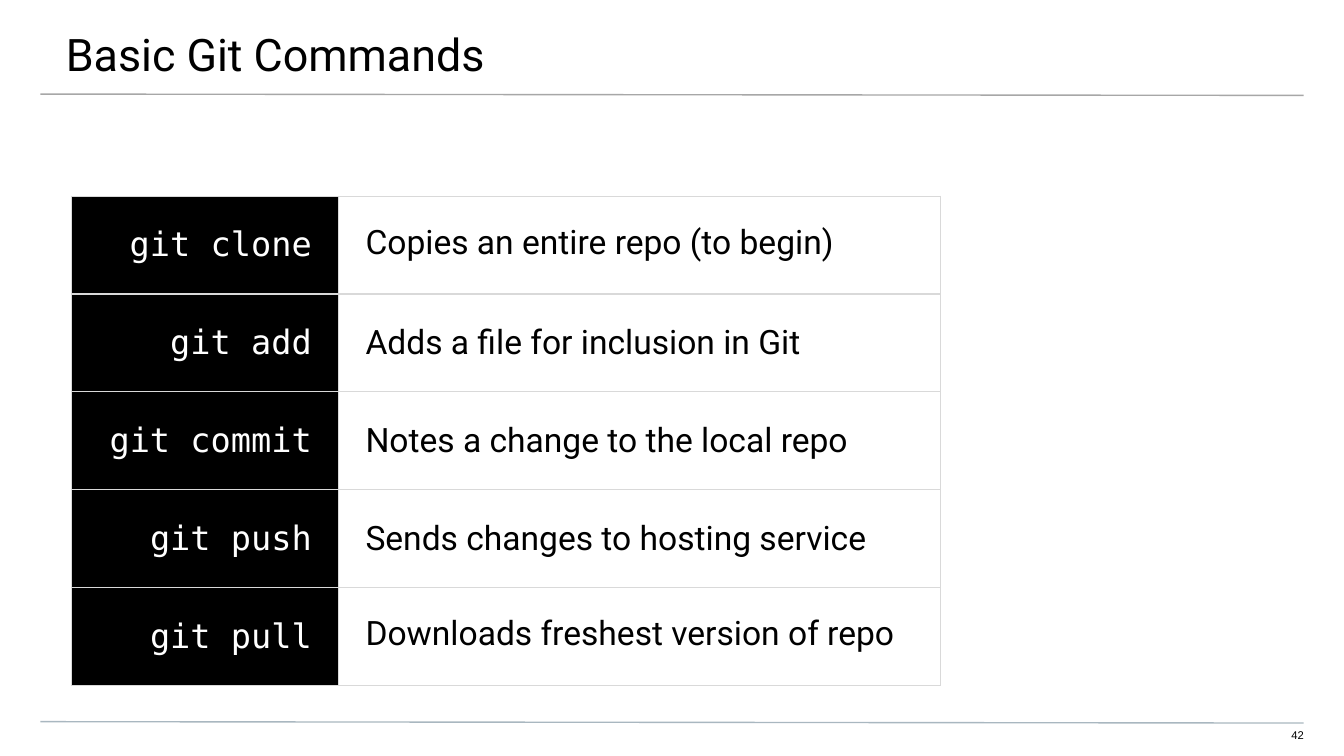
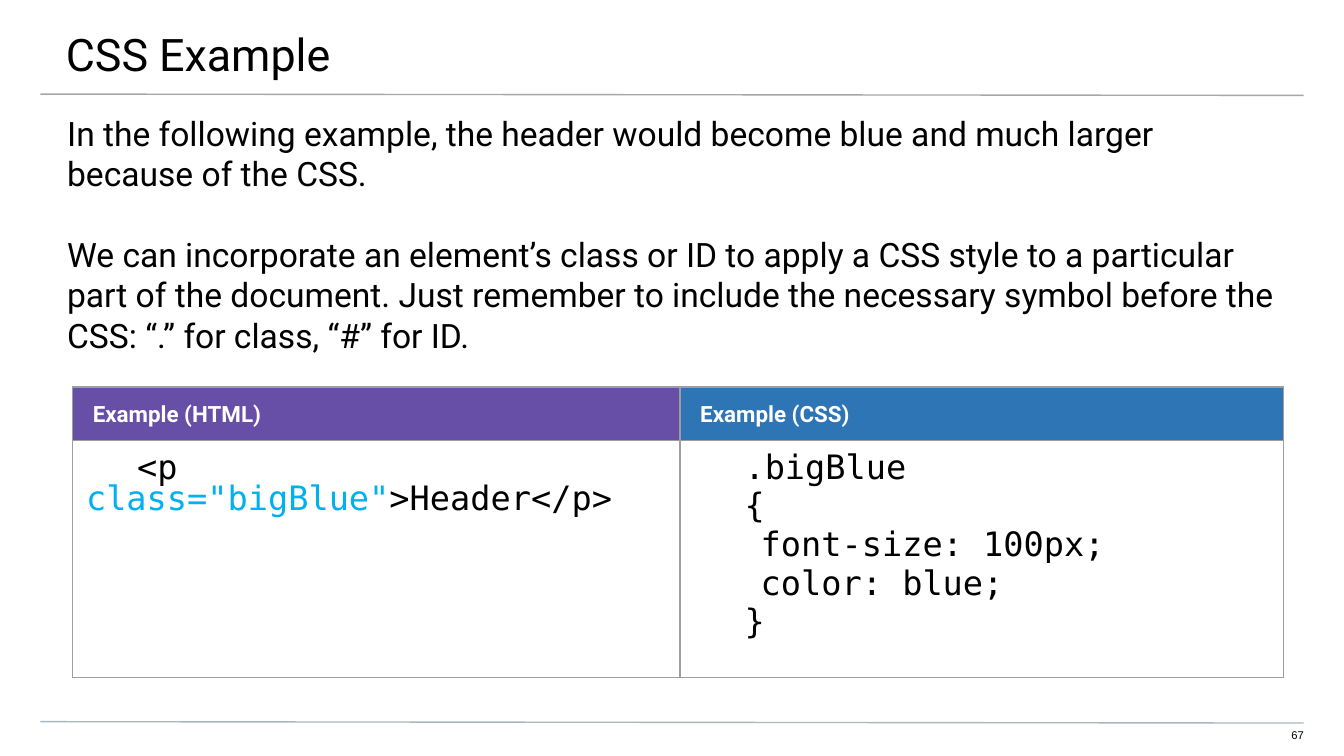
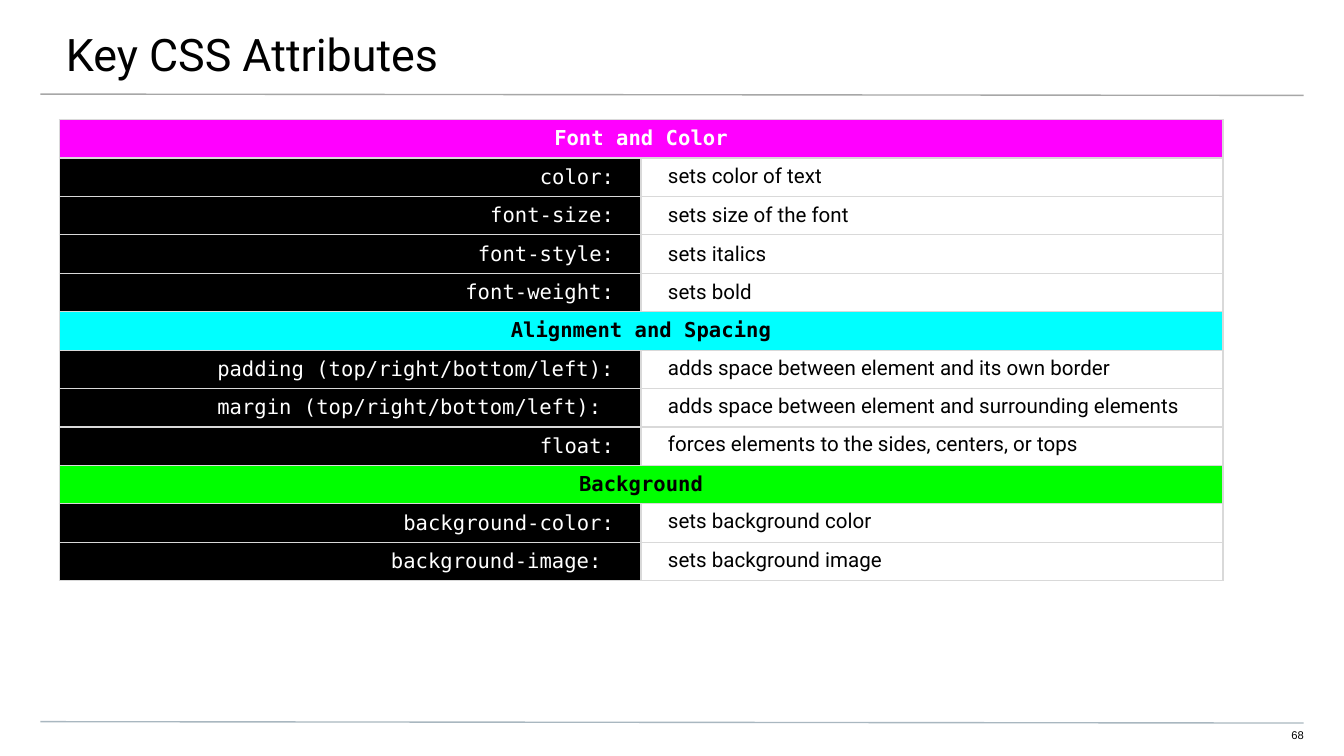
from pptx import Presentation
from pptx.dml.color import RGBColor
from pptx.enum.shapes import MSO_CONNECTOR
from pptx.enum.text import MSO_ANCHOR, PP_ALIGN
from pptx.oxml.ns import qn
from pptx.util import Inches, Pt
from lxml import etree

LEFT, CENTER, RIGHT = PP_ALIGN.LEFT, PP_ALIGN.CENTER, PP_ALIGN.RIGHT
TOP, MIDDLE, BOTTOM = MSO_ANCHOR.TOP, MSO_ANCHOR.MIDDLE, MSO_ANCHOR.BOTTOM
STRAIGHT = MSO_CONNECTOR.STRAIGHT
SANS, MONO, SMALL = "Roboto", "DejaVu Sans Mono", "Arial"
BLACK, WHITE = "000000", "FFFFFF"
LIGHT_GRID, DARK_GRID = "D9D9D9", "9E9E9E"
rgb = RGBColor.from_string


def write(p, text, font, size, color=BLACK, bold=False, align=LEFT):
    """Add one formatted run to a paragraph."""
    p.alignment = align
    r = p.add_run()
    r.text = text
    r.font.name, r.font.size, r.font.bold = font, Pt(size), bold
    r.font.color.rgb = rgb(color)


def style_cell(cell, grid, fill, anchor, margins):
    """Set borders, fill, anchor and margins; return the first paragraph."""
    tc_pr = cell._tc.get_or_add_tcPr()
    for side in ("lnL", "lnR", "lnT", "lnB"):
        ln = etree.SubElement(tc_pr, qn(f"a:{side}"), w=str(Pt(0.75)))
        solid = etree.SubElement(ln, qn("a:solidFill"))
        etree.SubElement(solid, qn("a:srgbClr"), val=grid)
    if fill:
        cell.fill.solid()
        cell.fill.fore_color.rgb = rgb(fill)
    else:
        cell.fill.background()
    cell.vertical_anchor = anchor
    (cell.margin_left, cell.margin_top,
     cell.margin_right, cell.margin_bottom) = [Inches(m) for m in margins]
    return cell.text_frame.paragraphs[0]


prs = Presentation()
prs.slide_width = Inches(10)
prs.slide_height = prs.slide_width * 9 // 16

# Shared frame: title, two rules, slide number
slides = []
for title, number in (("Basic Git Commands", "42"), ("CSS Example", "67"),
                      ("Key CSS Attributes", "68")):
    s = prs.slides.add_slide(prs.slide_layouts[6])
    slides.append(s)
    for y, color in ((0.7, "A7A7A7"), (5.37, "A9B7C0")):
        rule = s.shapes.add_connector(STRAIGHT, Inches(0.3), Inches(y),
                                      Inches(9.7), Inches(y + 0.01))
        rule.line.color.rgb = rgb(color)
        rule.line.width = Pt(0.75)
        etree.SubElement(rule._element.spPr, qn("a:effectLst"))
    for text, box, margins, font, size, align in (
            (number, (9.41, 5.42, 0.29, 0.12), (0, 0, 0, 0.1), SMALL, 6, RIGHT),
            (title, (-0.01, 0, 10.03, 0.58), (0.5, 0.2, 0.3, 0.1), SANS, 24, LEFT)):
        tf = s.shapes.add_textbox(*[Inches(v) for v in box]).text_frame
        tf.word_wrap = True
        (tf.margin_left, tf.margin_top,
         tf.margin_right, tf.margin_bottom) = [Inches(m) for m in margins]
        write(tf.paragraphs[0], text, font, size, align=align)
git_slide, example_slide, attributes_slide = slides

# Two-column reference tables: (name, description, tight line) or (heading, fill, colour)
commands = [
    ("git clone", "Copies an entire repo (to begin)", True),
    ("git add", "Adds a file for inclusion in Git", False),
    ("git commit", "Notes a change to the local repo", False),
    ("git push", "Sends changes to hosting service", False),
    ("git pull", "Downloads freshest version of repo", True),
]
attributes = [
    ("Font and Color", "FF00FF", WHITE),
    ("color:", "sets color of text", True),
    ("font-size:", "sets size of the font", False),
    ("font-style:", "sets italics", False),
    ("font-weight:", "sets bold", False),
    ("Alignment and Spacing", "00FFFF", BLACK),
    ("padding (top/right/bottom/left):",
     "adds space between element and its own border", True),
    ("margin (top/right/bottom/left): ",
     "adds space between element and surrounding elements", True),
    ("float:", "forces elements to the sides, centers, or tops", True),
    ("Background", "00FF00", BLACK),
    ("background-color:", "sets background color", True),
    ("background-image: ", "sets background image", True),
]
side_margins = (0.2, 0, 0.2, 0)
for s, rows, (x, y, height), widths, size in (
        (git_slide, commands, (0.53, 1.46, 3.64), (1.99, 4.48), 18),
        (attributes_slide, attributes, (0.44, 0.89, 3.43), (4.33, 4.33), 11)):
    table = s.shapes.add_table(len(rows), 2, Inches(x), Inches(y),
                               Inches(sum(widths)), Inches(height)).table
    table.first_row = table.horz_banding = False
    for column, width in zip(table.columns, widths):
        column.width = Inches(width)
    for i, (name, detail, option) in enumerate(rows):
        left, right = table.cell(i, 0), table.cell(i, 1)
        heading = isinstance(option, str)
        name_p = style_cell(left, LIGHT_GRID, detail if heading else BLACK,
                            MIDDLE, side_margins)
        detail_p = style_cell(right, LIGHT_GRID, None, MIDDLE, side_margins)
        name_p.space_after = Pt(2)
        if heading:
            left.merge(right)
            write(name_p, name, MONO, size, option, True, CENTER)
            continue
        write(name_p, name, MONO, size, WHITE, align=RIGHT)
        write(detail_p, detail, SANS, size)
        if option:
            detail_p.line_spacing = 0.8
        else:
            detail_p.space_after = Pt(2)

# CSS example: explanation
s = example_slide
tf = s.shapes.add_textbox(0, Inches(0.74), Inches(10), Inches(1.2)).text_frame
tf.word_wrap = True
tf.margin_left = tf.margin_right = Inches(0.5)
tf.margin_top, tf.margin_bottom = Inches(0.1), 0
write(tf.paragraphs[0], "In the following example, the header would become blue "
      "and much larger because of the CSS.", SANS, 18)
p = tf.add_paragraph()
p.space_before = Pt(21.6)
write(p, "We can incorporate an element’s class or ID to apply a CSS style to a "
      "particular part of the document. Just remember to include the necessary "
      "symbol before the CSS: “.” for class, “#” for ID.", SANS, 18)

# CSS example: code table, each code line a list of (text, colour)
examples = [
    ("Example (HTML)", "674EA7", 4.52,
     [[("<p ", BLACK), ('class="bigBlue"', "00B0F0"), (">Header</p>", BLACK)]]),
    ("Example (CSS)", "2E75B6", 4.49,
     [[(line, BLACK)] for line in
      (".bigBlue", "{", "\tfont-size: 100px;", "\tcolor: blue;", "}")]),
]
table = s.shapes.add_table(2, 2, Inches(0.54), Inches(2.88),
                           Inches(9.01), Inches(2.15)).table
table.first_row = table.horz_banding = False
table.rows[0].height, table.rows[1].height = Inches(0.39), Inches(1.76)
for col, (heading, fill, width, lines) in enumerate(examples):
    table.columns[col].width = Inches(width)
    p = style_cell(table.cell(0, col), DARK_GRID, fill, BOTTOM, (0.15, 0.1, 0.1, 0.1))
    write(p, heading, SANS, 12, WHITE, True)
    code = table.cell(1, col)
    p = style_cell(code, DARK_GRID, None, TOP, (0.1, 0.1, 0.1, 0.1))
    for i, line in enumerate(lines):
        if i:
            p = code.text_frame.add_paragraph()
            p.space_before = Pt(4)
        p.line_spacing = 0.8
        p_pr = p._p.get_or_add_pPr()
        p_pr.set("marL", "0")
        p_pr.set("indent", str(Inches(0.38)))
        tabs = etree.SubElement(p_pr, qn("a:tabLst"))
        etree.SubElement(tabs, qn("a:tab"), pos=str(Inches(1)), algn="l")
        for text, color in line:
            write(p, text, MONO, 18, color)

prs.save("out.pptx")
